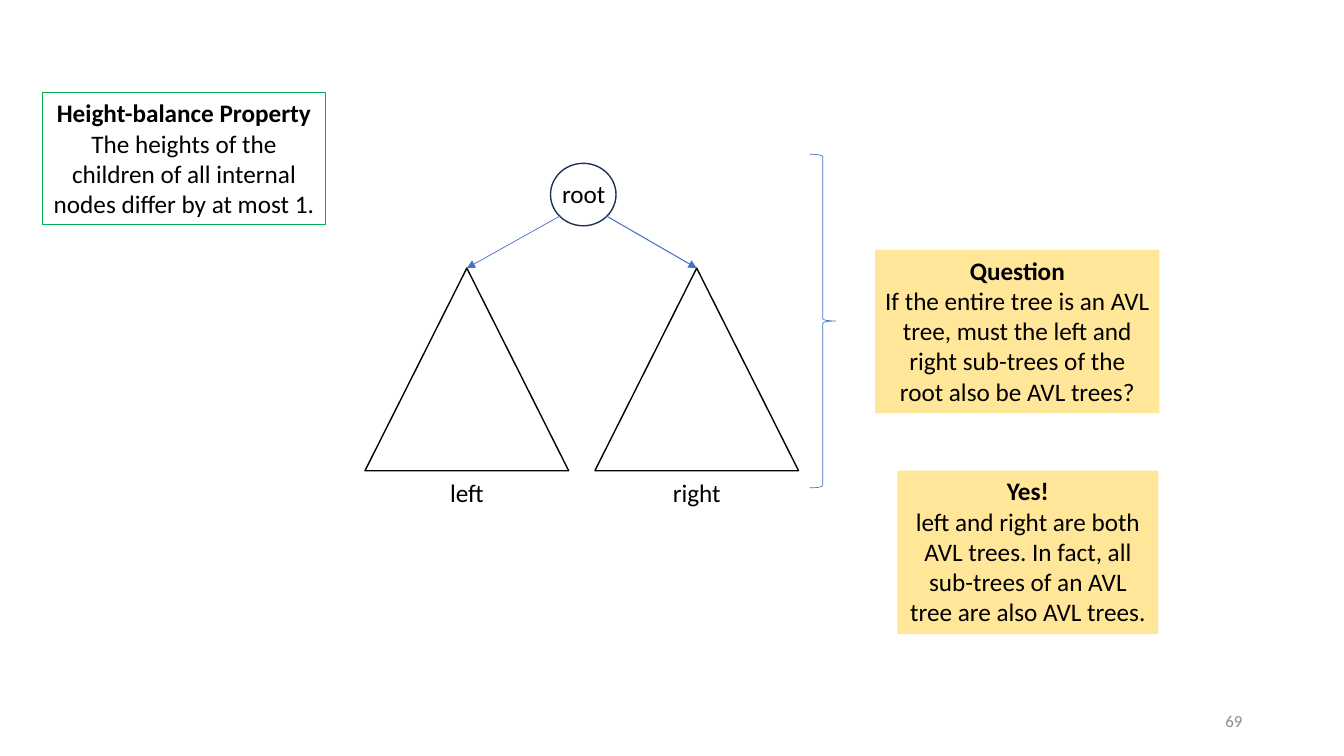
from lxml import etree
from pptx import Presentation
from pptx.dml.color import RGBColor
from pptx.enum.shapes import MSO_CONNECTOR as LINE, MSO_SHAPE as SHAPE
from pptx.enum.text import MSO_ANCHOR as ANCHOR, PP_ALIGN as ALIGN
from pptx.oxml.ns import qn
from pptx.util import Inches, Pt

COLORS = {"text": "000000", "number": "8C8C8C", "note": "FFE699",
          "property": "00B050", "root": "1E3256", "link": "4472C4"}
FONT = "Calibri"
CELL = 0.1
TREE_TOP, TREE_WIDTH, TREE_HEIGHT = 26.6, 20.2, 20.1
SUBTREES = [("left", 36.2, 55.6, 0.5), ("right", 59, 60.1, 0.75)]


def cells(*counts):
    return [Inches(n * CELL) for n in counts]


def rgb(name):
    return RGBColor.from_string(COLORS[name])


def write(p, text, size=18, color="text", bold=False, align=ALIGN.CENTER):
    p.alignment = align
    r = p.add_run()
    r.text = text
    r.font.name, r.font.size, r.font.bold = FONT, Pt(size), bold
    r.font.color.rgb = rgb(color)


def add_shape(s, kind, box, fill=None, line=None, width=1):
    sp = s.shapes.add_shape(kind, *cells(*box))
    sp.shadow.inherit = False
    if fill:
        sp.fill.solid()
        sp.fill.fore_color.rgb = rgb(fill)
    else:
        sp.fill.background()
    if line:
        sp.line.color.rgb = rgb(line)
        sp.line.width = Pt(width)
    else:
        sp.line.fill.background()
    return sp


def add_card(s, box, heading, body, one_paragraph=False, **style):
    tf = add_shape(s, SHAPE.RECTANGLE, box, **style).text_frame
    tf.word_wrap = True
    tf.vertical_anchor = ANCHOR.TOP
    p = tf.paragraphs[0]
    write(p, heading, bold=True)
    if one_paragraph:
        p.add_line_break()
    else:
        p = tf.add_paragraph()
    write(p, body)


def add_label(s, box, text, wrap=False, anchor=ANCHOR.TOP, **style):
    tf = s.shapes.add_textbox(*cells(*box)).text_frame
    tf.word_wrap = wrap
    tf.vertical_anchor = anchor
    write(tf.paragraphs[0], text, **style)


def add_arrow(s, start, target, width):
    c = s.shapes.add_connector(LINE.STRAIGHT, *cells(*start, *start))
    c.end_connect(target, 0)
    c.line.color.rgb = rgb("link")
    c.line.width = Pt(width)
    etree.SubElement(c.line._get_or_add_ln(), qn("a:tailEnd"), type="triangle")
    etree.SubElement(c._element.spPr, qn("a:effectLst"))


def add_subtree(s, name, left, arrow_x, arrow_width):
    box = (left, TREE_TOP, TREE_WIDTH, TREE_HEIGHT)
    tree = add_shape(s, SHAPE.ISOSCELES_TRIANGLE, box, line="text")
    add_arrow(s, (arrow_x, 21.4), tree, arrow_width)
    add_label(s, (left, TREE_TOP + TREE_HEIGHT + 0.2, TREE_WIDTH, 4), name)


def main():
    prs = Presentation()
    prs.slide_width, prs.slide_height = Inches(13.33), Inches(7.5)
    s = prs.slides.add_slide(prs.slide_layouts[6])

    add_card(s, (4.2, 9.2, 28.1, 13.1), "Height-balance Property",
             "The heights of the children of all internal nodes differ by at most 1.",
             one_paragraph=True, line="property", width=0.75)
    add_card(s, (86.8, 24.8, 28.2, 16.2), "Question",
             "If the entire tree is an AVL tree, must the left and right "
             "sub-trees of the root also be AVL trees?", fill="note")
    add_card(s, (89, 46.7, 25.9, 16.2), "Yes!",
             "left and right are both AVL trees. In fact, all sub-trees "
             "of an AVL tree are also AVL trees.", fill="note")

    add_shape(s, SHAPE.OVAL, (54.6, 16.2, 6.5, 6.2), line="root")
    add_label(s, (54.7, 17.2, 6.4, 4), "root")
    for subtree in SUBTREES:
        add_subtree(s, *subtree)
    add_shape(s, SHAPE.RIGHT_BRACE, (80.3, 15.3, 2.6, 33.1), line="link", width=0.5)
    add_label(s, (94.2, 69.5, 30, 4), "69", wrap=True, anchor=ANCHOR.MIDDLE,
              size=12, color="number", align=ALIGN.RIGHT)
    prs.save("out.pptx")


if __name__ == "__main__":
    main()
